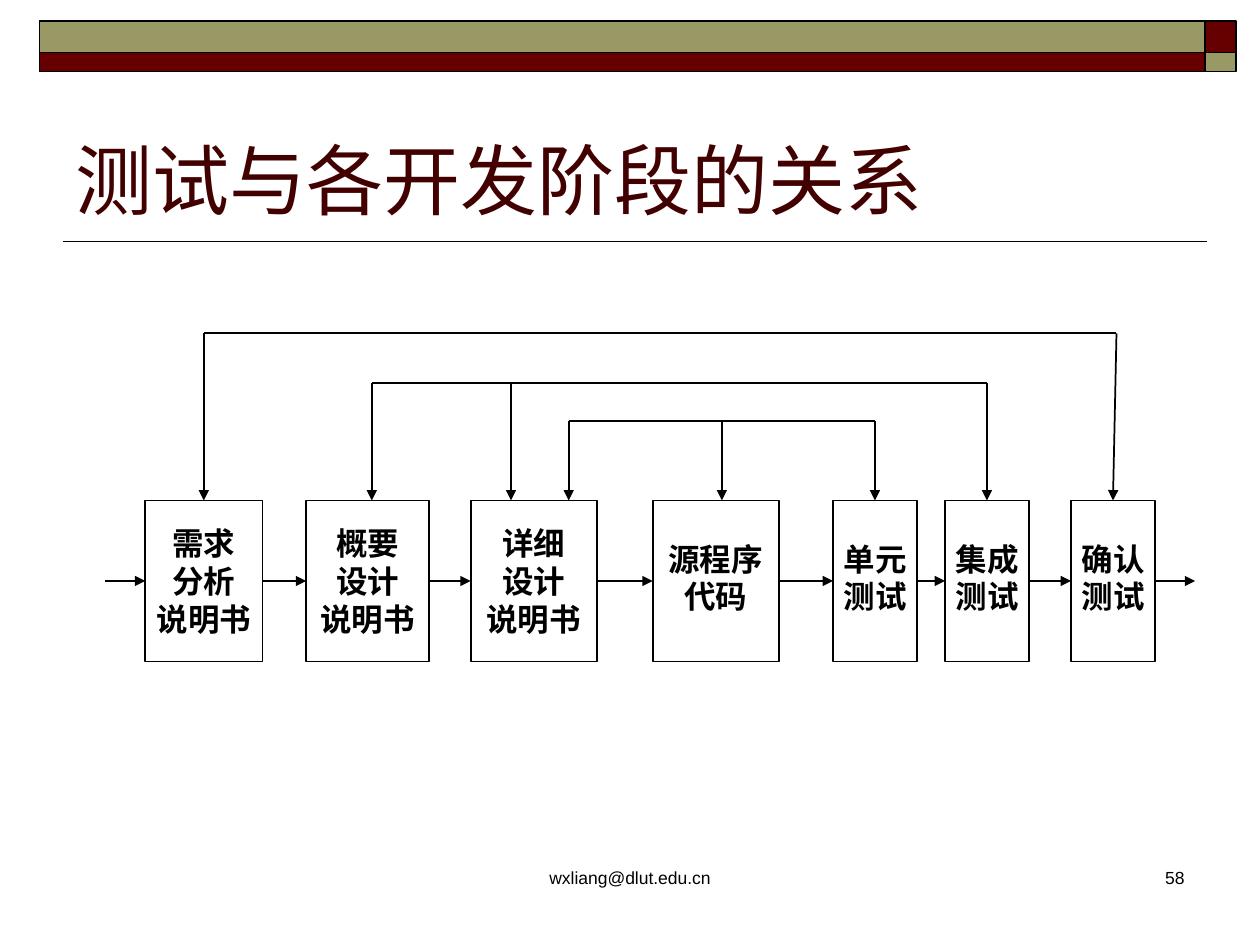
"""Builds a slide relating test phases to development stages."""
from lxml.etree import SubElement
from pptx import Presentation
from pptx.dml.color import RGBColor
from pptx.enum.shapes import MSO_CONNECTOR, MSO_SHAPE
from pptx.enum.text import MSO_ANCHOR, MSO_AUTO_SIZE, PP_ALIGN
from pptx.oxml.ns import qn
from pptx.util import Pt

COLORS = {"black": "000000", "maroon": "660000", "olive": "999966", "title": "420000"}


def style_text(frame, size, font, color, align, bold=False):
    for para in frame.paragraphs:
        para.alignment = align
        for span in para.runs:
            span.font.size = Pt(size)
            span.font.name = font
            span.font.bold = bold
            span.font.color.rgb = RGBColor.from_string(COLORS[color])


def add_line(x1, y1, x2, y2, arrow=False):
    line = page.shapes.add_connector(MSO_CONNECTOR.STRAIGHT, Pt(x1), Pt(y1), Pt(x2), Pt(y2))
    line.line.width = Pt(1)
    line.line.color.rgb = RGBColor.from_string(COLORS["black"])
    if arrow:
        SubElement(line.line._get_or_add_ln(), qn("a:tailEnd"), type="triangle")
    SubElement(line._element.spPr, qn("a:effectLst"))
    return line


deck = Presentation()
deck.slide_width, deck.slide_height = Pt(720), Pt(540)
page = deck.slides.add_slide(deck.slide_layouts[5])

add_line(36, 138, 690, 138)
bars = [
    (688.5, 12, 18, 18, "maroon"),
    (22.5, 12, 666, 18, "olive"),
    (22.5, 30, 666, 11, "maroon"),
    (688.5, 30, 18, 11, "olive"),
]
for left, top, width, height, color in bars:
    bar = page.shapes.add_shape(MSO_SHAPE.RECTANGLE, Pt(left), Pt(top), Pt(width), Pt(height))
    bar.shadow.inherit = False
    bar.fill.solid()
    bar.fill.fore_color.rgb = RGBColor.from_string(COLORS[color])
    bar.line.color.rgb = RGBColor.from_string(COLORS["black"])
    bar.line.width = Pt(1)

title = page.shapes.title
title.left, title.top, title.width, title.height = Pt(36), Pt(42), Pt(648), Pt(90)
title.text_frame.text = "测试与各开发阶段的关系"
title.text_frame.auto_size = MSO_AUTO_SIZE.NONE
title.text_frame.vertical_anchor = MSO_ANCHOR.BOTTOM
style_text(title.text_frame, 44, "Times New Roman", "title", PP_ALIGN.LEFT)

footers = [
    (246, 228, "wxliang@dlut.edu.cn", PP_ALIGN.CENTER),
    (534, 150, "58", PP_ALIGN.RIGHT),
]
for left, width, text, align in footers:
    footer = page.shapes.add_textbox(Pt(left), Pt(492), Pt(width), Pt(36))
    footer.text_frame.word_wrap = True
    footer.text_frame.text = text
    style_text(footer.text_frame, 10, "Arial", "black", align)

stage_top, stage_height = 286, 92
flow_y = stage_top + stage_height / 2
stages = [
    (83, 67, "需求\n分析\n说明书"),
    (175, 70, "概要\n设计\n说明书"),
    (269, 72, "详细\n设计\n说明书"),
    (373, 72, "源程序\n代码"),
    (476, 48, "单元\n测试"),
    (540, 48, "集成\n测试"),
    (612, 48, "确认\n测试"),
]
boxes = []
for left, width, text in stages:
    box = page.shapes.add_shape(
        MSO_SHAPE.RECTANGLE, Pt(left), Pt(stage_top), Pt(width), Pt(stage_height))
    box.shadow.inherit = False
    box.fill.background()
    box.line.color.rgb = RGBColor.from_string(COLORS["black"])
    box.line.width = Pt(1)
    frame = box.text_frame
    frame.margin_left = frame.margin_right = frame.margin_top = 0
    frame.margin_bottom = Pt(4 if text.count("\n") == 1 else 0)
    frame.vertical_anchor = MSO_ANCHOR.MIDDLE
    frame.text = text
    style_text(frame, 18, "Times New Roman", "black", PP_ALIGN.CENTER, bold=True)
    boxes.append(box)

starts = [60] + [left + width for left, width, text in stages]
ends = [left for left, width, text in stages] + [683]
for index, (start, end) in enumerate(zip(starts, ends)):
    flow = add_line(start, flow_y, end, flow_y, arrow=True)
    if index > 0:
        flow.begin_connect(boxes[index - 1], 3)
    if index < len(boxes):
        flow.end_connect(boxes[index], 1)

feedback = [
    (240.5, [(325, None), (412.5, None), (500, 4)]),
    (219, [(212.5, None), (292, None), (564, 5)]),
    (190.5, [(116.5, 0), (638, 6)]),
]
for bus_y, drops in feedback:
    add_line(drops[0][0], bus_y, drops[-1][0], bus_y)
    for x, target in drops:
        drop = add_line(x, bus_y, x, stage_top, arrow=True)
        if target is not None:
            drop.end_connect(boxes[target], 0)

deck.save("out.pptx")
